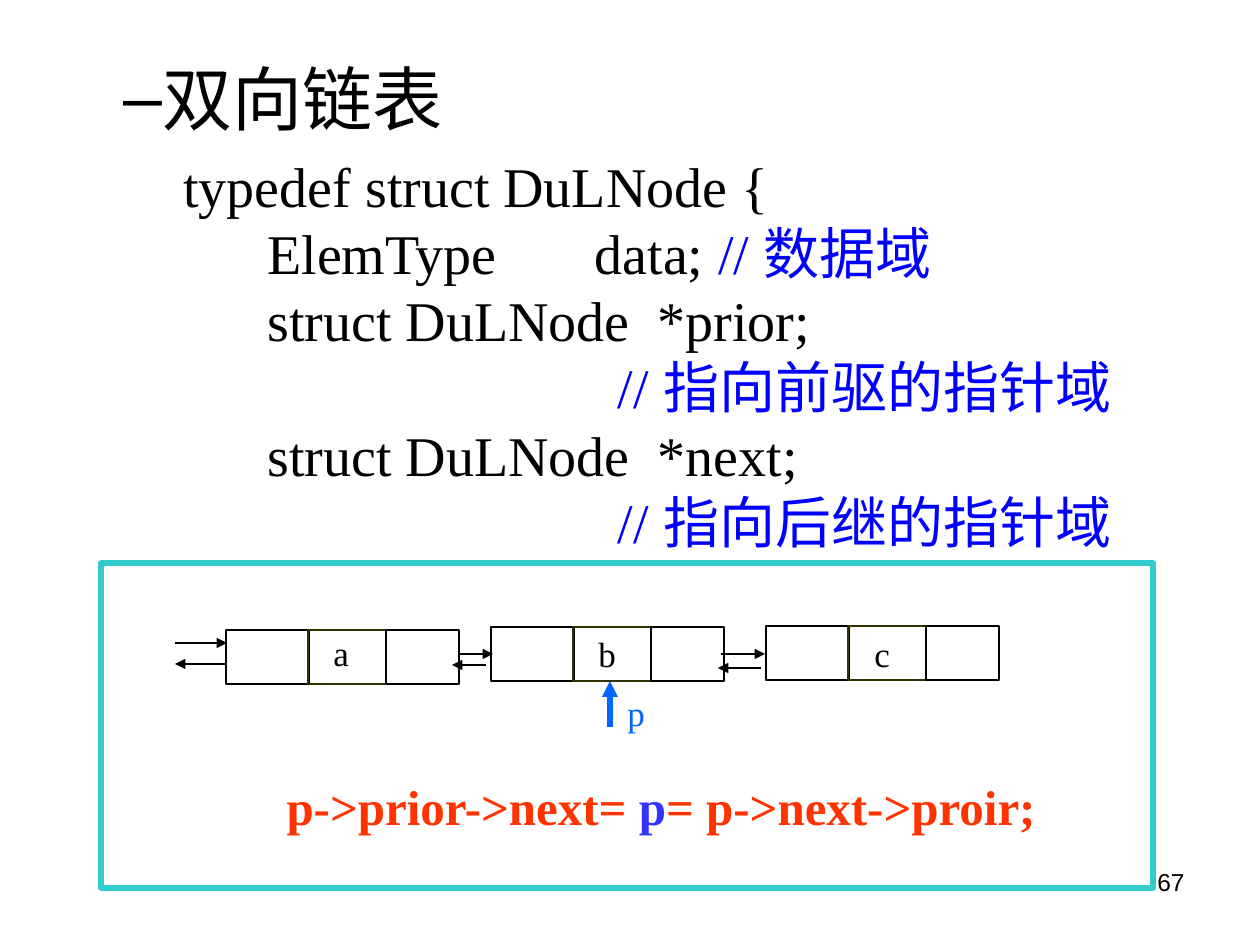
from dataclasses import dataclass

from lxml import etree
from pptx import Presentation
from pptx.dml.color import RGBColor
from pptx.enum.shapes import MSO_CONNECTOR, MSO_SHAPE
from pptx.enum.text import MSO_ANCHOR, PP_ALIGN
from pptx.oxml.ns import qn
from pptx.util import Pt

RECT = MSO_SHAPE.RECTANGLE
STRAIGHT = MSO_CONNECTOR.STRAIGHT
TOP, MIDDLE = MSO_ANCHOR.TOP, MSO_ANCHOR.MIDDLE
LEFT, CENTER, RIGHT = PP_ALIGN.LEFT, PP_ALIGN.CENTER, PP_ALIGN.RIGHT

SCALE = 914400 / 126  # EMU in one px
BLACK, OLIVE, WHITE, TEAL = "000000", "333300", "FFFFFF", "33CCCC"
BLUE, SKY, INDIGO, RED = "0000FF", "0066FF", "3333FF", "FF3300"
SANS, SERIF = "Arial", "Times New Roman"


@dataclass
class Run:
    text: str
    color: str = BLACK


@dataclass
class Node:
    name: str
    x: int
    y: int
    mid: int   # centre of the label
    base: int  # top of the label


@dataclass
class Arrow:
    x1: int
    y1: int
    x2: int
    y2: int
    color: str = BLACK
    width: float = 0.75


# Cells of a node: offset, width, line colour
CELLS = [(0, 83, BLACK), (82, 78, OLIVE), (160, 73, BLACK)]
CELL_H = 54

NODES = [
    Node("a", 226, 630, 341, 624),
    Node("b", 491, 627, 607, 626),
    Node("c", 766, 626, 882, 626),
]

ARROWS = [
    Arrow(175, 643, 227, 643),
    Arrow(226, 664, 175, 664),
    Arrow(459, 654, 493, 654),
    Arrow(486, 665, 452, 665),
    Arrow(721, 654, 765, 654),
    Arrow(761, 668, 718, 668),
    Arrow(610, 727, 610, 681, SKY, 3),
]

CODE = [
    [Run("typedef struct DuLNode {")],
    [Run("      ElemType       data; "), Run("// 数据域", BLUE)],
    [Run("      struct DuLNode  *prior;")],
    [Run("                               "), Run("// 指向前驱的指针域", BLUE)],
    [Run("      struct DuLNode  *next;")],
    [Run("                               "), Run("// 指向后继的指针域", BLUE)],
]

RESULT = [Run("p->prior->next= ", RED), Run("p", INDIGO),
          Run("= p->next->proir;", RED)]


def px(n: int) -> int:
    return round(n * SCALE)


def paint(hue: str) -> RGBColor:
    return RGBColor.from_string(hue)


def add_text(slide, x: int, y: int, w: int, h: int, lines: list[list[Run]],
             size: int, font: str = SERIF, align=LEFT, anchor=TOP,
             bold: bool = False, wrap: bool = True):
    box = slide.shapes.add_textbox(px(x), px(y), px(w), px(h))
    frame = box.text_frame
    frame.word_wrap = wrap
    frame.vertical_anchor = anchor
    for i, line in enumerate(lines):
        para = frame.add_paragraph() if i else frame.paragraphs[0]
        para.alignment = align
        for part in line:
            run = para.add_run()
            run.text = part.text
            run.font.size = Pt(size)
            run.font.name = font
            run.font.bold = bold
            run.font.color.rgb = paint(part.color)
    return box


def add_label(slide, text: str, mid: int, y: int, hue: str = BLACK) -> None:
    add_text(slide, mid - 21, y, 42, 56, [[Run(text, hue)]], 20,
             align=CENTER, anchor=MIDDLE, wrap=False)


def add_box(slide, x: int, y: int, w: int, h: int, line: str,
            width: float = 0.75, fill: str = "") -> None:
    shape = slide.shapes.add_shape(RECT, px(x), px(y), px(w), px(h))
    shape.shadow.inherit = False
    if fill:
        shape.fill.solid()
        shape.fill.fore_color.rgb = paint(fill)
    else:
        shape.fill.background()
    shape.line.color.rgb = paint(line)
    shape.line.width = Pt(width)


def add_arrow(slide, arrow: Arrow) -> None:
    link = slide.shapes.add_connector(
        STRAIGHT, px(arrow.x1), px(arrow.y1), px(arrow.x2), px(arrow.y2))
    link.line.color.rgb = paint(arrow.color)
    link.line.width = Pt(arrow.width)
    etree.SubElement(link.line._get_or_add_ln(), qn("a:tailEnd"),
                     type="triangle")
    etree.SubElement(link._element.spPr, qn("a:effectLst"))


def add_dash(box, left: int, hang: int) -> None:
    props = box.text_frame.paragraphs[0]._p.get_or_add_pPr()
    props.set("marL", str(px(left)))
    props.set("indent", str(-px(hang)))
    etree.SubElement(props, qn("a:buFont"), typeface=SANS)
    etree.SubElement(props, qn("a:buChar"), char="–")


def add_node(slide, node: Node) -> None:
    for shift, width, line in CELLS:
        add_box(slide, node.x + shift, node.y, width, CELL_H, line)
    add_label(slide, node.name, node.mid, node.base)


def main() -> None:
    deck = Presentation()
    deck.slide_width, deck.slide_height = px(1260), px(945)
    slide = deck.slides.add_slide(deck.slide_layouts[6])

    # Page number, title and code
    add_text(slide, 903, 861, 294, 66, [[Run("67")]], 14, SANS, RIGHT)
    title = add_text(slide, 48, 49, 1027, 108, [[Run("双向链表")]], 40, SANS)
    add_dash(title, 102, 39)
    add_text(slide, 171, 145, 999, 416, CODE, 32)

    # Linked list in its frame
    add_box(slide, 101, 563, 1052, 325, TEAL, 3, WHITE)
    for node in NODES:
        add_node(slide, node)
    for arrow in ARROWS:
        add_arrow(slide, arrow)
    add_label(slide, "p", 636, 684, SKY)

    # Rule that holds for p
    add_text(slide, 273, 770, 776, 72, [RESULT], 28, align=CENTER,
             anchor=MIDDLE, bold=True, wrap=False)

    deck.save("out.pptx")


if __name__ == "__main__":
    main()
